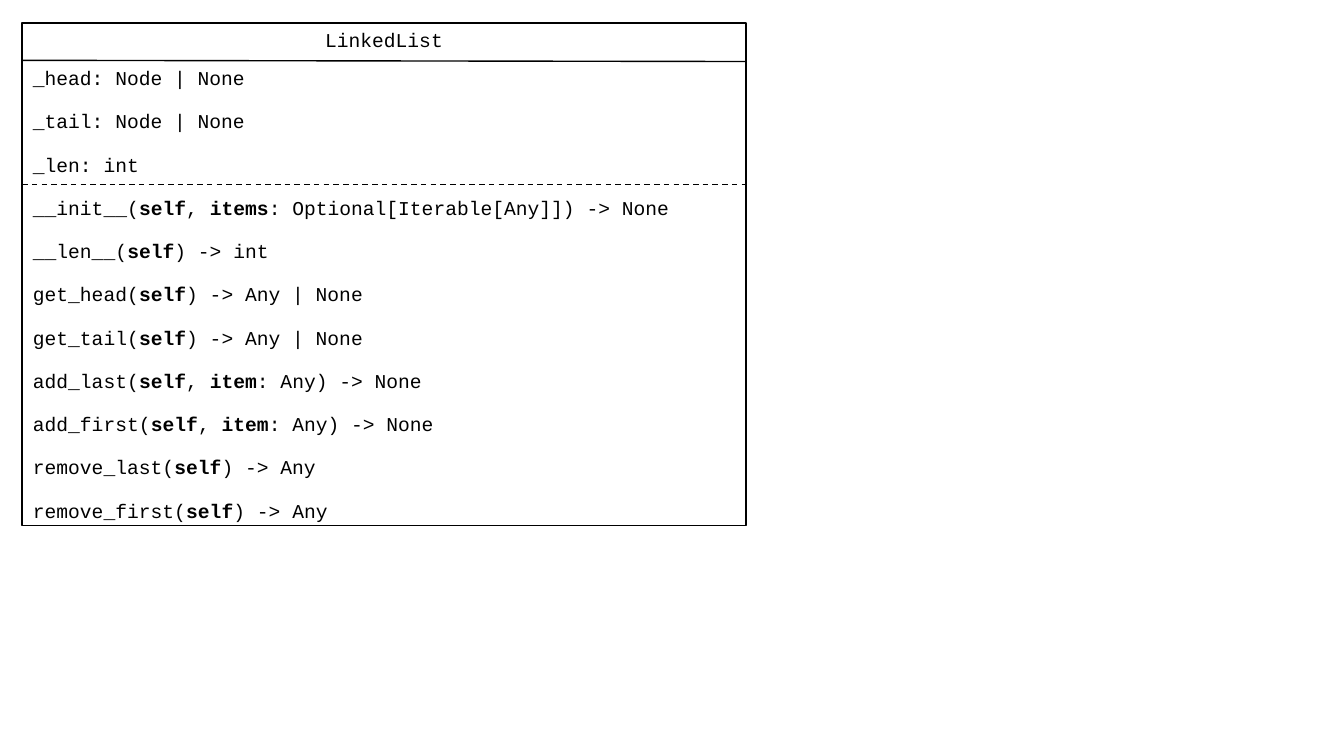
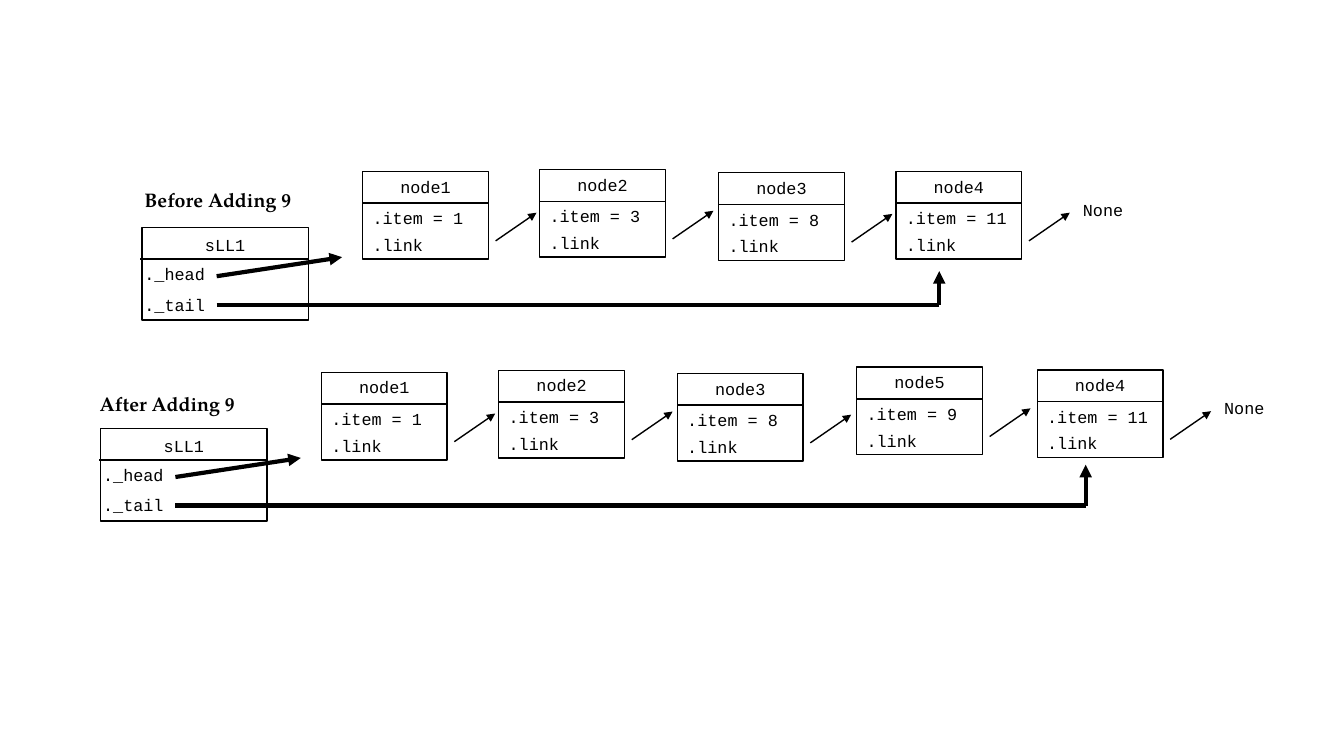
"""Draw a linked list class diagram and the effect of adding an item."""
from lxml.etree import SubElement
from pptx import Presentation
from pptx.dml.color import RGBColor
from pptx.enum.dml import MSO_LINE
from pptx.enum.shapes import MSO_CONNECTOR, MSO_SHAPE
from pptx.enum.text import MSO_AUTO_SIZE, PP_ALIGN
from pptx.oxml.ns import qn
from pptx.util import Cm, Pt

INK = "000000"
CODE = {"name": "Courier New", "size": Pt(12)}
CODE_BIG = {"name": "Courier New", "size": Pt(14)}
HEADING = {"name": "TeX Gyre Pagella", "size": Pt(14), "bold": True}
FRAME = {"word_wrap": True, "auto_size": MSO_AUTO_SIZE.SHAPE_TO_FIT_TEXT}
THIN, THICK = 1, 3

ATTRIBUTES = ["_head: Node | None", "_tail: Node | None", "_len: int"]
METHODS = [
    "__init__(*self*, *items*: Optional[Iterable[Any]]) -> None",
    "__len__(*self*) -> int",
    "get_head(*self*) -> Any | None",
    "get_tail(*self*) -> Any | None",
    "add_last(*self*, *item*: Any) -> None",
    "add_first(*self*, *item*: Any) -> None",
    "remove_last(*self*) -> Any",
    "remove_first(*self*) -> Any",
]
LISTS = [
    {"heading": ("Before Adding 9", -0.19, -1.12), "origin": (3.58, 5.74),
     "tail_tip": (20.09, 1.09),
     "nodes": [("node1", 1, 5.56, -1.42), ("node2", 3, 10.02, -1.47),
               ("node3", 8, 14.53, -1.39), ("node4", 11, 19.0, -1.42)]},
    {"heading": ("After Adding 9", -0.28, -1.04), "origin": (2.54, 10.8),
     "tail_tip": (24.82, 0.91),
     "nodes": [("node1", 1, 5.56, -1.42), ("node2", 3, 10.03, -1.47),
               ("node3", 8, 14.53, -1.39), ("node5", 9, 19.05, -1.55),
               ("node4", 11, 23.6, -1.48)]},
]


def color(value):
    """Return a colour from a hex string."""
    return RGBColor.from_string(value)


def apply(obj, fmt):
    """Set each attribute named in a dict of format values."""
    for key, value in fmt.items():
        setattr(obj, key, value)


def add_text(shapes, text, x, y, w, h, fmt, align=PP_ALIGN.LEFT):
    """Add one line of text, with the parts between asterisks in bold."""
    tf = shapes.add_textbox(Cm(x), Cm(y), Cm(w), Cm(h)).text_frame
    apply(tf, FRAME)
    p = tf.paragraphs[0]
    p.alignment = align
    for i, part in enumerate(text.split("*")):
        r = p.add_run()
        r.text = part
        apply(r.font, fmt if i % 2 == 0 else {**fmt, "bold": True})
        r.font.color.rgb = color(INK)


def add_box(shapes, x, y, w, h):
    """Add an unfilled rectangle with a thin outline."""
    sp = shapes.add_shape(MSO_SHAPE.RECTANGLE, Cm(x), Cm(y), Cm(w), Cm(h))
    sp.shadow.inherit = False
    sp.fill.background()
    sp.line.color.rgb = color(INK)
    sp.line.width = Pt(THIN)


def add_line(shapes, x1, y1, x2, y2, width=THIN, dash=None, arrow=False):
    """Add a straight line, optionally dashed or ending in an arrowhead."""
    cx = shapes.add_connector(MSO_CONNECTOR.STRAIGHT,
                              Cm(x1), Cm(y1), Cm(x2), Cm(y2))
    cx.line.color.rgb = color(INK)
    apply(cx.line, {"width": Pt(width), "dash_style": dash})
    if arrow:
        SubElement(cx.line._get_or_add_ln(), qn("a:tailEnd"), type="triangle")
    SubElement(cx._element.spPr, qn("a:effectLst"))


def add_class_diagram(shapes):
    """Add the class box with its attributes and methods."""
    x, y, w, h = 0.56, 0.58, 18.24, 12.67
    add_text(shapes, "LinkedList", x, y, w, 0.86, CODE_BIG, PP_ALIGN.CENTER)
    add_box(shapes, x, y, w, h)
    add_line(shapes, x, 1.52, x + w, 1.55)
    add_line(shapes, x, 4.65, x + w, 4.65, dash=MSO_LINE.DASH)
    for i, member in enumerate(ATTRIBUTES + METHODS):
        add_text(shapes, member, x + 0.02, 1.54 + 1.09 * i, w - 0.04, 0.86,
                 CODE_BIG)


def add_node(shapes, name, item, x, y):
    """Add a grouped node with its outgoing link arrow."""
    g = shapes.add_group_shape().shapes
    w, h, row = 3.17, 2.21, 0.76
    add_box(g, x, y, w, h)
    add_text(g, name, x, y, w, row, CODE, PP_ALIGN.CENTER)
    add_text(g, f".item = {item}", x, y + 0.8, w, row, CODE)
    add_text(g, ".link", x, y + 1.47, w, row, CODE)
    add_line(g, x, y + 0.8, x + w, y + 0.8)
    add_line(g, x + 3.35, y + 1.75, x + 4.38, y + 1.04, arrow=True)


def add_linked_list(shapes, heading, origin, tail_tip, nodes):
    """Add a list object, its chain of nodes and its head and tail arrows."""
    x, y = origin
    w, h, row = 4.19, 2.33, 0.76
    title, dx, dy = heading
    add_text(shapes, title, x + dx, y + dy, 4.4, 0.86, HEADING)
    add_box(shapes, x, y, w, h)
    add_text(shapes, "sLL1", x, y + 0.05, w, row, CODE, PP_ALIGN.CENTER)
    add_line(shapes, x - 0.04, y + 0.79, x + w, y + 0.79)
    for name, dy in (("._head", 0.79), ("._tail", 1.55)):
        add_text(shapes, name, x - 0.19, y + dy, 2.2, row, CODE)
    for name, item, dx, dy in nodes:
        add_node(shapes, name, item, x + dx, y + dy)
    add_text(shapes, "None", x + dx + 4.46, y + dy + 0.58, 1.7, row, CODE)
    start, tail_y = x + 1.88, y + 1.94
    tip_x, tip_y = x + tail_tip[0], y + tail_tip[1]
    add_line(shapes, start, y + 1.22, x + 5.04, y + 0.74, THICK, arrow=True)
    add_line(shapes, start, tail_y, tip_x, tail_y, THICK)
    add_line(shapes, tip_x, tail_y, tip_x, tip_y, THICK, arrow=True)


def main():
    """Build and save both slides."""
    prs = Presentation()
    apply(prs, {"slide_width": Cm(33.87), "slide_height": Cm(19.05)})
    blank = prs.slide_layouts[6]
    add_class_diagram(prs.slides.add_slide(blank).shapes)
    s = prs.slides.add_slide(blank)
    for linked_list in LISTS:
        add_linked_list(s.shapes, **linked_list)
    prs.save("out.pptx")


if __name__ == "__main__":
    main()
